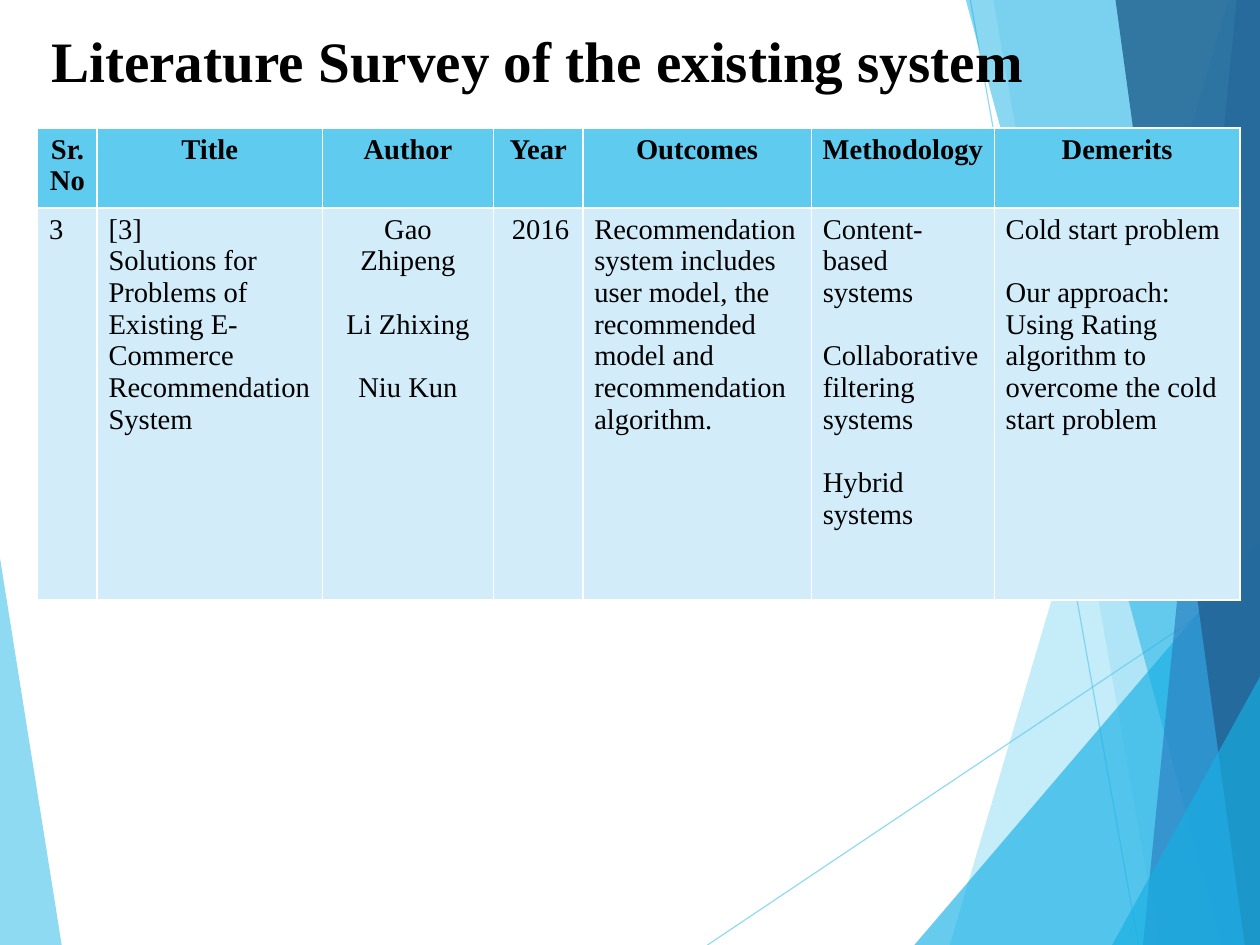
"""Build the literature survey slide with its table and faceted background."""
from lxml import etree
from pptx import Presentation
from pptx.dml.color import RGBColor
from pptx.enum import shapes, text
from pptx.oxml import ns
from pptx.util import Inches, Pt

SKY = RGBColor(0x5F, 0xCB, 0xEF)
CYAN = RGBColor(0x17, 0xB0, 0xE4)
BLUE = RGBColor(0x2E, 0x83, 0xC3)
NAVY = RGBColor(0x23, 0x62, 0x92)
PALE = RGBColor(0xD2, 0xEC, 0xF9)
BLACK = RGBColor(0, 0, 0)
LEFT, CENTER = text.PP_ALIGN.LEFT, text.PP_ALIGN.CENTER
CM_PER_INCH = 2.54
WIDTH, HEIGHT = 28 / CM_PER_INCH, 21 / CM_PER_INCH


def write(frame, groups, size=18, bold=False, align=LEFT, spacing=None):
    """Write groups of lines, with one line of space between groups."""
    paragraph = None
    for group in groups:
        for position, line in enumerate(group):
            is_first = paragraph is None
            paragraph = frame.paragraphs[0] if is_first else frame.add_paragraph()
            paragraph.alignment = align
            if spacing:
                paragraph.line_spacing = spacing
            if position == 0 and not is_first:
                paragraph.space_before = Pt(20)
            run = paragraph.add_run()
            run.text = line
            run.font.name = "Times New Roman"
            run.font.size = Pt(size)
            run.font.bold = bold
            run.font.color.rgb = BLACK


def set_opacity(shape, percent):
    """Make the fill or line colour of a shape partly transparent."""
    color = next(shape._element.spPr.iter(ns.qn("a:srgbClr")))
    etree.SubElement(color, ns.qn("a:alpha"), val=str(percent * 1000))


prs = Presentation()
prs.slide_width, prs.slide_height = Inches(WIDTH), Inches(HEIGHT)
slide = prs.slides.add_slide(prs.slide_layouts[6])

left_facet = ([(0, 4.88), (0.54, HEIGHT), (0, HEIGHT)], SKY, 70)
right_facets = [
    ([(10.75, 0), (8.31, HEIGHT), (WIDTH, HEIGHT), (WIDTH, 0)], SKY, 36),
    ([(8.69, 0), (10.14, HEIGHT), (WIDTH, HEIGHT), (WIDTH, 0)], SKY, 20),
    ([(8, HEIGHT), (WIDTH, 4.73), (WIDTH, HEIGHT)], CYAN, 65),
    ([(8.45, 0), (10.69, HEIGHT), (WIDTH, HEIGHT), (WIDTH, 0)], CYAN, 50),
    ([(10.82, 0), (10, HEIGHT), (WIDTH, HEIGHT), (WIDTH, 0)], BLUE, 70),
    ([(9.76, 0), (10.89, HEIGHT), (WIDTH, HEIGHT), (WIDTH, 0)], NAVY, 82),
    ([(9.73, HEIGHT), (WIDTH, 5.92), (WIDTH, HEIGHT)], CYAN, 65),
]
for outline, color, opacity in [left_facet] + right_facets:
    corners = [(Inches(x), Inches(y)) for x, y in outline]
    builder = slide.shapes.build_freeform(*corners[0])
    builder.add_line_segments(corners[1:], close=True)
    facet = builder.convert_to_shape()
    facet.shadow.inherit = False
    facet.fill.solid()
    facet.fill.fore_color.rgb = color
    facet.line.fill.background()
    set_opacity(facet, opacity)
    if outline is left_facet[0]:
        for x1, y1, x2, y2 in [(6.19, HEIGHT, WIDTH, 5.03), (8.49, 0, 9.96, HEIGHT)]:
            ray = slide.shapes.add_connector(
                shapes.MSO_CONNECTOR.STRAIGHT, Inches(x1), Inches(y1), Inches(x2), Inches(y2))
            ray.line.color.rgb = SKY
            ray.line.width = Pt(0.75)
            set_opacity(ray, 70)
            etree.SubElement(ray._element.spPr, ns.qn("a:effectLst"))

title = slide.shapes.add_textbox(Inches(0.45), Inches(0.2), Inches(9.8), Inches(0.68)).text_frame
title.word_wrap = True
title.vertical_anchor = text.MSO_ANCHOR.MIDDLE
title.margin_left = title.margin_right = title.margin_bottom = 0
title.margin_top = Inches(0.03)
write(title, [["Literature Survey of the existing system"]], size=36, bold=True, spacing=0.93)

columns = [
    (0.52, ["Sr.", "No"], [["3"]], LEFT),
    (1.97, ["Title"], [["[3]", "Solutions for Problems of Existing E-Commerce",
                        "Recommendation System"]], LEFT),
    (1.5, ["Author"], [["Gao Zhipeng"], ["Li Zhixing"], ["Niu Kun"]], CENTER),
    (0.78, ["Year"], [["2016"]], LEFT),
    (2, ["Outcomes"], [["Recommendation system includes user model, the recommended "
                        "model and recommendation algorithm."]], LEFT),
    (1.6, ["Methodology"], [["Content-based systems"], ["Collaborative filtering systems"],
                            ["Hybrid systems"]], LEFT),
    (2.15, ["Demerits"], [["Cold start problem"],
                          ["Our approach:",
                           "Using Rating algorithm to overcome the cold start problem"]], LEFT),
]
survey = slide.shapes.add_table(
    2, len(columns), Inches(0.33), Inches(1.12), Inches(10.52), Inches(4.05)).table
survey.rows[0].height, survey.rows[1].height = Inches(0.62), Inches(3.43)

for index, (width, heading, entry, align) in enumerate(columns):
    survey.columns[index].width = Inches(width)
    header, body = survey.cell(0, index), survey.cell(1, index)
    header.margin_left = header.margin_right = Inches(0.08)
    write(header.text_frame, [heading], bold=True, align=CENTER)
    write(body.text_frame, entry, align=align)
    for cell, color in [(header, SKY), (body, PALE)]:
        cell.fill.solid()
        cell.fill.fore_color.rgb = color
survey.cell(1, 3).margin_left = Inches(0.16)

prs.save("out.pptx")
